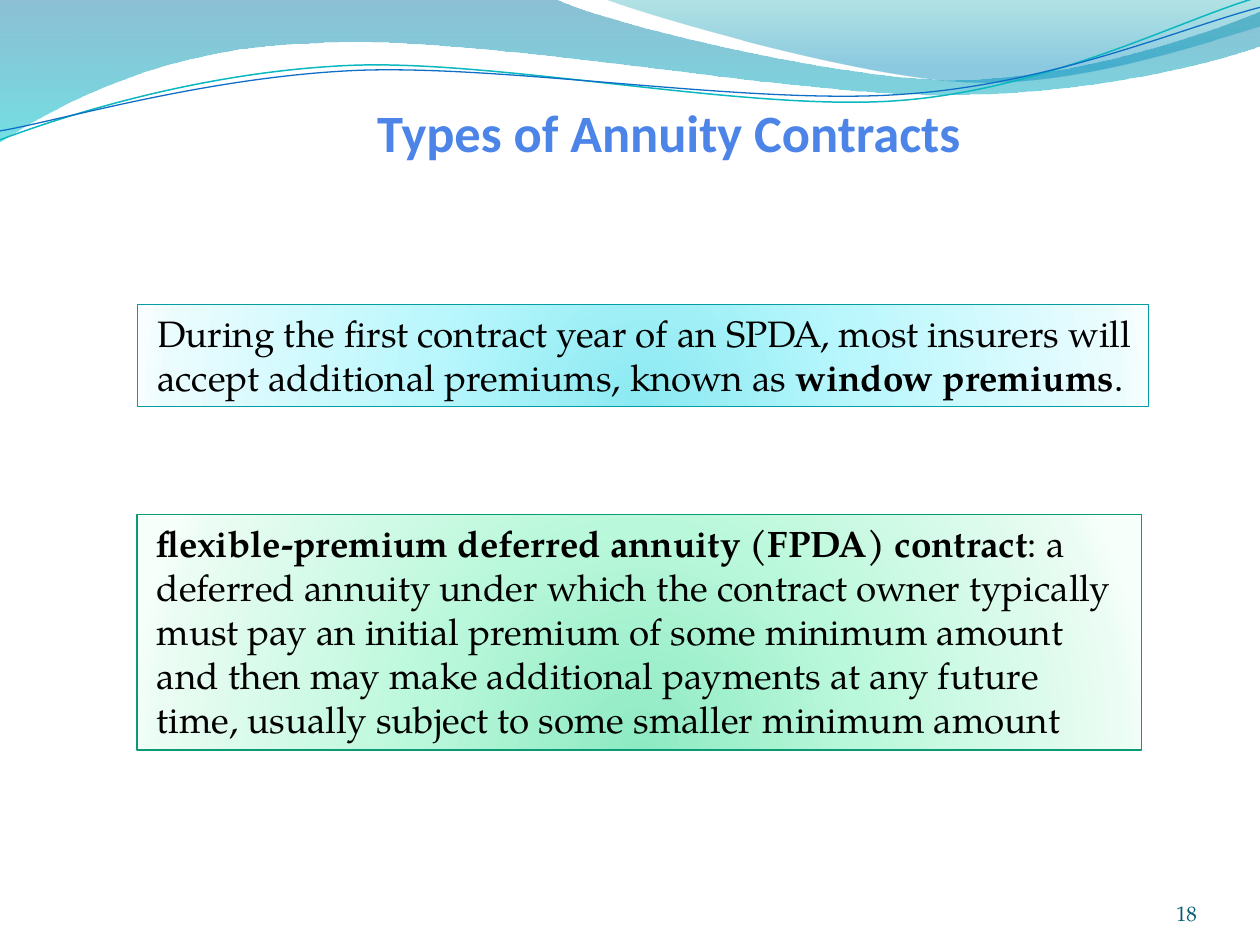
from dataclasses import dataclass

from lxml.etree import SubElement
from pptx import Presentation
from pptx.dml.color import RGBColor as Rgb
from pptx.enum.shapes import MSO_SHAPE as Shape
from pptx.enum.text import MSO_ANCHOR as Anchor, MSO_AUTO_SIZE as AutoSize, PP_ALIGN as Align
from pptx.oxml import parse_xml
from pptx.oxml.ns import nsdecls, qn
from pptx.util import Cm, Pt


@dataclass(frozen=True)
class Theme:
    title_color: str = "4C84E8"
    text_color: str = "000000"
    number_color: str = "045D75"
    title_font: str = "Calibri"
    text_font: str = "TeX Gyre Pagella"
    title_size: int = 30
    text_size: int = 21
    number_size: int = 12
    wide_wave: tuple = ((0, "0074A1", 45), (100, "00C6CF", 55))
    corner_wave: tuple = ((0, "00A1A9", 30), (80, "008BBF", 45))
    teal_line: str = "0AB8BF"
    blue_line: str = "0F6FC6"
    cyan_fill: tuple = ((0, "8BE9F1", 100), (43, "B9F7FD", 100), (93, "EAFCFE", 100), (100, "F8FEFF", 100))
    cyan_border: str = "069CA3"
    green_fill: tuple = ((0, "8DEAC2", 100), (43, "BAF8DB", 100), (93, "EAFCF3", 100), (100, "F7FFFB", 100))
    green_border: str = "0A9B74"


theme = Theme()
LINEAR = '<a:lin ang="5400000" scaled="0"/>'
RADIAL = '<a:path path="circle"><a:fillToRect l="50000" t="130000" r="50000" b="-30000"/></a:path>'


def fill_gradient(shape, stops, direction):
    stop_xml = "".join(
        f'<a:gs pos="{position * 1000}"><a:srgbClr val="{color}">'
        f'<a:alpha val="{opacity * 1000}"/></a:srgbClr></a:gs>'
        for position, color, opacity in stops
    )
    gradient = parse_xml(
        f'<a:gradFill {nsdecls("a")} rotWithShape="1"><a:gsLst>{stop_xml}</a:gsLst>{direction}</a:gradFill>'
    )
    shape.fill.background()
    properties = shape.element.spPr
    properties.replace(properties.find(qn("a:noFill")), gradient)


def style_run(run, font, size, color, bold=False):
    run.font.name = font
    run.font.size = Pt(size)
    run.font.bold = bold
    run.font.color.rgb = Rgb.from_string(color)


deck = Presentation()
deck.slide_width, deck.slide_height = Cm(25.4), Cm(19.05)
slide = deck.slides.add_slide(deck.slide_layouts[5])

waves = [
    ((0, 0), [
        [(11.18, -0.03)],
        [(12.09, 0.43), (16.87, 1.6), (19.25, 1.6)],
        [(21.67, 1.6), (24.33, 0.66), (25.4, 0.23)],
        [(25.43, 0.91)],
        [(24.97, 1.12), (22.1, 1.93), (18.95, 1.91)],
        [(15.8, 1.91), (9.7, 0.71), (6.53, 0.86)],
        [(3.28, 0.91), (1.17, 2.11), (-0.03, 2.87)],
    ], theme.wide_wave, None, 0),
    ((12.17, -0.03), [
        [(12.93, 0.28), (17.32, 1.57), (19.53, 1.65)],
        [(21.74, 1.75), (24.41, 0.81), (25.4, 0.53)],
        [(25.4, 0)],
    ], theme.corner_wave, None, 0),
    ((0, 2.82), [
        [(1.22, 2.36), (4.01, 1.45), (7.04, 1.32)],
        [(10.03, 1.19), (15.06, 2.26), (18.11, 2.03)],
        [(21.16, 1.8), (23.83, 0.38), (25.35, -0.05)],
    ], None, theme.teal_line, 0.85),
    ((0, 2.64), [
        [(1.19, 2.44), (4.17, 1.55), (7.19, 1.42)],
        [(10.24, 1.3), (15.16, 2.13), (18.21, 1.9)],
        [(21.23, 1.7), (23.9, 0.53), (25.4, 0.15)],
    ], None, theme.blue_line, 0.75),
]
for start, segments, stops, line_color, line_width in waves:
    builder = slide.shapes.build_freeform(*map(Cm, start))
    builder.add_line_segments([tuple(map(Cm, segment[-1])) for segment in segments], close=stops is not None)
    wave = builder.convert_to_shape()
    for edge, segment in zip(list(wave.element.iter(qn("a:lnTo"))), segments):
        if len(segment) == 3:
            edge.tag = qn("a:cubicBezTo")
            edge.clear()
            for x, y in segment:
                SubElement(edge, qn("a:pt"), x=str(Cm(x) - wave.left), y=str(Cm(y) - wave.top))
    wave.shadow.inherit = False
    if stops:
        fill_gradient(wave, stops, LINEAR)
        wave.line.fill.background()
    else:
        wave.fill.background()
        wave.line.color.rgb = Rgb.from_string(line_color)
        wave.line.width = Pt(line_width)

title = slide.shapes.title
slide.shapes.element.append(title.element)
title.left, title.top, title.width, title.height = Cm(2.54), Cm(2.11), Cm(21.9), Cm(1.07)
title.text_frame.text = "Types of Annuity Contracts"
title.text_frame.auto_size = AutoSize.NONE
title.text_frame.vertical_anchor = Anchor.MIDDLE
heading = title.text_frame.paragraphs[0]
heading.alignment = Align.CENTER
style_run(heading.runs[0], theme.title_font, theme.title_size, theme.title_color, True)

definitions = [
    ((2.76, 10.37, 20.25, 4.75), theme.green_fill, theme.green_border, [
        ("flexible-premium deferred annuity (FPDA) contract", True),
        (": a deferred annuity under which the contract owner typically must pay an initial premium "
         "of some minimum amount and then may make additional payments at any future time, "
         "usually subject to some smaller minimum amount", False),
    ]),
    ((2.77, 6.14, 20.38, 2.05), theme.cyan_fill, theme.cyan_border, [
        ("During the first contract year of an SPDA, most insurers will accept additional premiums, "
         "known as ", False),
        ("window premiums", True),
        (".", False),
    ]),
]
for bounds, stops, border, phrases in definitions:
    definition = slide.shapes.add_shape(Shape.RECTANGLE, *map(Cm, bounds))
    definition.shadow.inherit = False
    fill_gradient(definition, stops, RADIAL)
    definition.line.color.rgb = Rgb.from_string(border)
    definition.line.width = Pt(0.75)
    frame = definition.text_frame
    frame.word_wrap = True
    frame.auto_size = AutoSize.SHAPE_TO_FIT_TEXT
    frame.vertical_anchor = Anchor.TOP
    frame.margin_left, frame.margin_right = Cm(0.4), Cm(0.28)
    sentence = frame.paragraphs[0]
    sentence.alignment = Align.LEFT
    for phrase, bold in phrases:
        run = sentence.add_run()
        run.text = phrase
        style_run(run, theme.text_font, theme.text_size, theme.text_color, bold)

page_number = slide.shapes.add_textbox(Cm(22.02), Cm(17.65), Cm(2.11), Cm(1.02)).text_frame
page_number.margin_left = page_number.margin_right = page_number.margin_top = page_number.margin_bottom = 0
page_number.word_wrap = True
page_number.vertical_anchor = Anchor.BOTTOM
page_number.text = "18"
page_number.paragraphs[0].alignment = Align.RIGHT
style_run(page_number.paragraphs[0].runs[0], theme.text_font, theme.number_size, theme.number_color)

deck.save("out.pptx")
